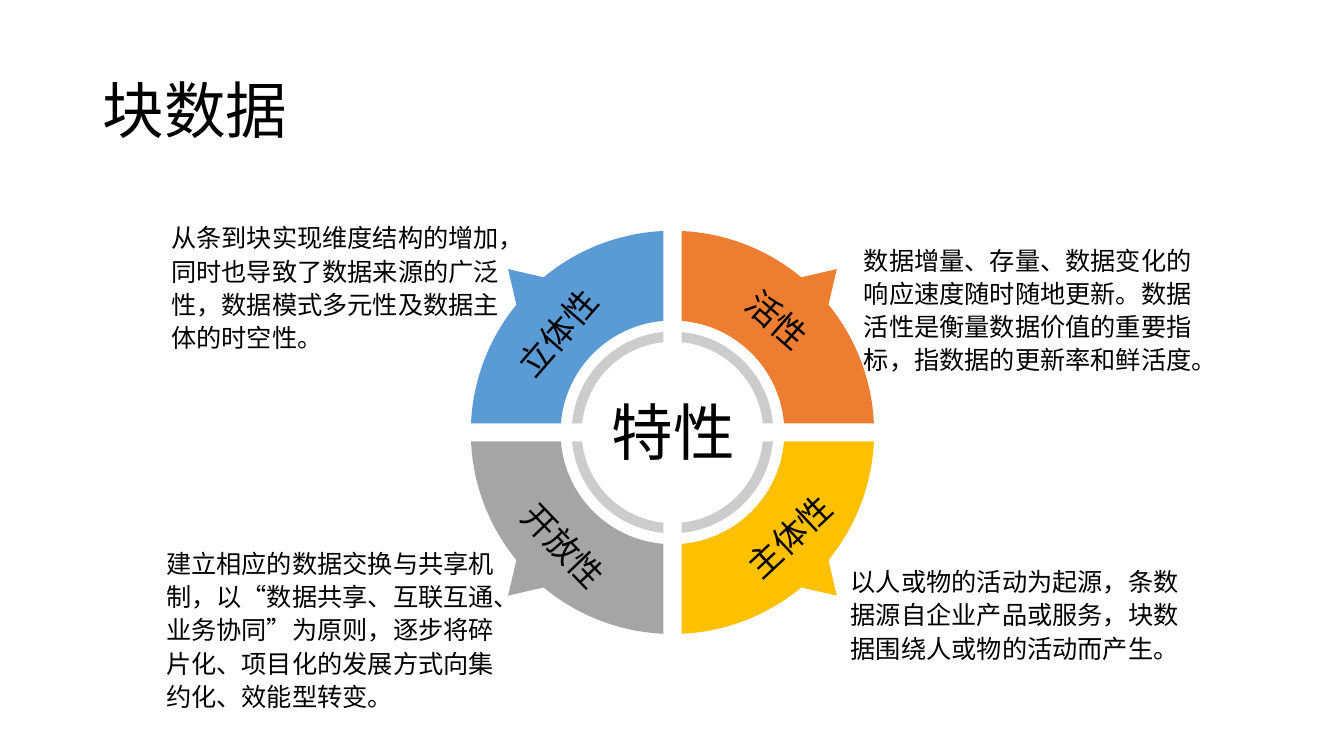
from itertools import islice
from math import asin, cos, degrees, radians, sin, tan
from pptx import Presentation
from pptx.dml.color import RGBColor
from pptx.enum.text import MSO_ANCHOR, MSO_AUTO_SIZE, PP_ALIGN
from pptx.oxml.ns import qn
from pptx.util import Inches, Pt

COLORS = {
    "blue": "5B9BD5",
    "gray": "A5A5A5",
    "orange": "ED7D31",
    "yellow": "FFC000",
    "ring": "CCCCCC",
    "text": "000000",
}
TITLE = ("块数据", (0.92, 0.4, 11.5, 1.45))
HUB = ("特性", (5.93, 3.86, 1.5, 0.84))
TRAITS = [
    {
        "color": "blue", "side": (-1, -1),
        "label": "立体性", "label_at": (4.92, 3.05), "rotation": 311,
        "body": "从条到块实现维度结构的增加，同时也导致了数据来源的广泛性，数据模式多元性及数据主体的时空性。",
        "body_box": (1.6, 2.13, 3.45, 1.43),
    },
    {
        "color": "gray", "side": (-1, 1),
        "label": "开放性", "label_at": (4.98, 5.16), "rotation": 46.2,
        "body": "建立相应的数据交换与共享机制，以“数据共享、互联互通、业务协同”为原则，逐步将碎片化、项目化的发展方式向集约化、效能型转变。",
        "body_box": (1.55, 5.36, 3.5, 1.77),
    },
    {
        "color": "orange", "side": (1, -1),
        "label": "活性", "label_at": (7.1, 2.92), "rotation": 41.3,
        "body": "数据增量、存量、数据变化的响应速度随时随地更新。数据活性是衡量数据价值的重要指标，指数据的更新率和鲜活度。",
        "body_box": (8.47, 2.35, 3.48, 1.43),
    },
    {
        "color": "yellow", "side": (1, 1),
        "label": "主体性", "label_at": (7.22, 5.07), "rotation": 317,
        "body": "以人或物的活动为起源，条数据源自企业产品或服务，块数据围绕人或物的活动而产生。",
        "body_box": (8.34, 5.54, 3.5, 1.1),
    },
]
LABEL_SIZE = (1.22, 0.5)
CENTER = (6.67, 4.29)
HALF_GAP = 0.09
WHEEL_RADII = (2.0, 1.11)
RING_RADII = (1.0, 0.9)
POINTER_TIP = (1.63, 1.62)
POINTER_ANGLES = (39.3, 50.3)

HEADING = {"size": Pt(44), "name": "Calibri"}
LABEL = {"size": Pt(24), "name": "Calibri"}
BODY = {"size": Pt(18), "name": "Arial"}
GROW = {"auto_size": MSO_AUTO_SIZE.SHAPE_TO_FIT_TEXT}
MIDDLE = {"vertical_anchor": MSO_ANCHOR.MIDDLE}
CENTERED = {"alignment": PP_ALIGN.CENTER}


def set_values(target, values):
    for name, value in values.items():
        setattr(target, name, value)


def add_text(slide, text, box, font, frame_format, paragraph_format, rotation=0):
    shape = slide.shapes.add_textbox(*map(Inches, box))
    shape.rotation = rotation
    frame = shape.text_frame
    set_values(frame, {"word_wrap": True, **frame_format})
    paragraph = frame.paragraphs[0]
    set_values(paragraph, paragraph_format)
    run = paragraph.add_run()
    run.text = text
    set_values(run.font, font)
    run.font.color.rgb = RGBColor.from_string(COLORS["text"])


def arc(radius, start, end):
    first, last = radians(start), radians(end)
    reach = radius * 4 / 3 * tan((last - first) / 4)
    begin, finish = [(radius * cos(angle), radius * sin(angle)) for angle in (first, last)]
    leave = (begin[0] - reach * sin(first), begin[1] + reach * cos(first))
    arrive = (finish[0] + reach * sin(last), finish[1] - reach * cos(last))
    return [[begin], [leave, arrive, finish]]


def quarter(radii, side, pointer=False):
    outer, inner = radii
    outer_edge, inner_edge = [degrees(asin(HALF_GAP / radius)) for radius in radii]
    if pointer:
        first, second = POINTER_ANGLES
        segments = arc(outer, outer_edge, first) + [[POINTER_TIP]] + arc(outer, second, 90 - outer_edge)
    else:
        segments = arc(outer, outer_edge, 90 - outer_edge)
    segments += arc(inner, 90 - inner_edge, inner_edge)
    return [
        [
            tuple(Inches(middle + sign * offset) for middle, sign, offset in zip(CENTER, side, point))
            for point in segment
        ]
        for segment in segments
    ]


def bend_arcs(shape, segments):
    lines = iter(list(shape.element.iter(qn("a:lnTo"))))
    for segment in segments:
        curve, *others = islice(lines, len(segment))
        if others:
            curve.tag = qn("a:cubicBezTo")
        for line in others:
            curve.append(line[0])
            line.getparent().remove(line)


def add_outline(slide, contours, color):
    builder = slide.shapes.build_freeform(*contours[0][0][0], scale=1.0)
    for index, contour in enumerate(contours):
        if index:
            builder.move_to(*contour[0][0])
        builder.add_line_segments([point for segment in contour[1:] for point in segment], close=True)
    shape = builder.convert_to_shape()
    bend_arcs(shape, [segment for contour in contours for segment in contour[1:]])
    shape.shadow.inherit = False
    shape.fill.solid()
    shape.fill.fore_color.rgb = RGBColor.from_string(COLORS[color])
    shape.line.fill.background()


def main():
    presentation = Presentation()
    set_values(presentation, {"slide_width": Inches(13.33), "slide_height": Inches(7.5)})
    slide = presentation.slides.add_slide(presentation.slide_layouts[6])

    add_text(slide, *TITLE, HEADING, MIDDLE, {"line_spacing": 0.9})
    add_outline(slide, [quarter(RING_RADII, trait["side"]) for trait in TRAITS], "ring")
    for trait in TRAITS:
        add_outline(slide, [quarter(WHEEL_RADII, trait["side"], pointer=True)], trait["color"])
    for trait in TRAITS:
        add_text(slide, trait["body"], trait["body_box"], BODY, GROW, {"line_spacing": 1.1})
    add_text(slide, *HUB, HEADING, GROW, CENTERED)
    for trait in TRAITS:
        label_box = trait["label_at"] + LABEL_SIZE
        add_text(slide, trait["label"], label_box, LABEL, GROW, CENTERED, trait["rotation"])

    presentation.save("out.pptx")


if __name__ == "__main__":
    main()
